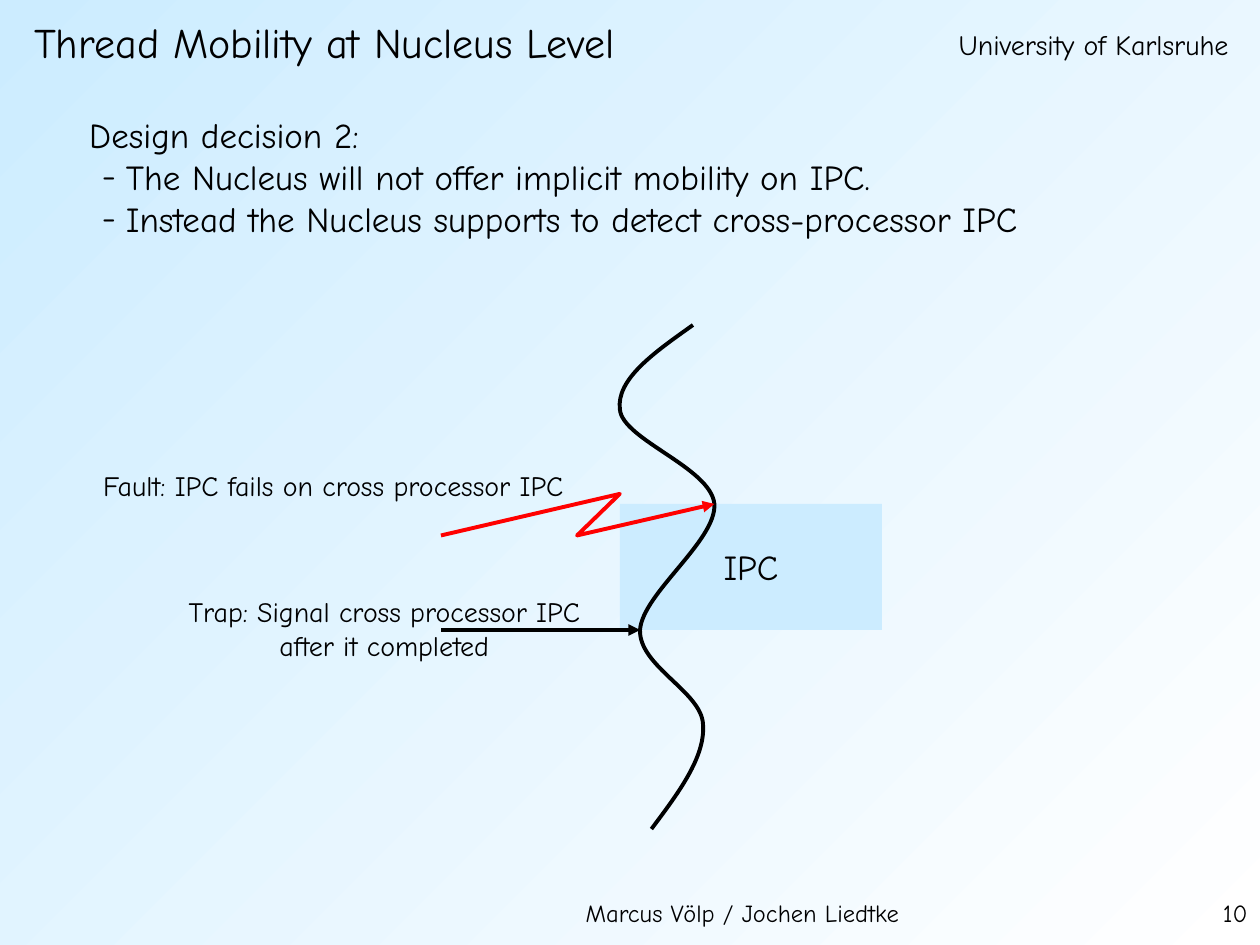
"""Build the slide on thread mobility at nucleus level."""
from dataclasses import dataclass

from lxml.etree import SubElement
from pptx import Presentation
from pptx.dml.color import RGBColor
from pptx.enum.shapes import MSO_CONNECTOR as Connector, MSO_SHAPE as Shape
from pptx.enum.text import MSO_ANCHOR as Anchor, MSO_AUTO_SIZE as AutoSize, PP_ALIGN as Align
from pptx.oxml.ns import qn
from pptx.util import Inches, Pt

BLACK = RGBColor(0x00, 0x00, 0x00)
WHITE = RGBColor(0xFF, 0xFF, 0xFF)
RED = RGBColor(0xFF, 0x00, 0x00)
SKY = RGBColor(0xCC, 0xEC, 0xFF)
FONT = "Comic Neue"
STROKE = Pt(2.25)

Point = tuple[float, float]


@dataclass(frozen=True)
class Label:
    left: float
    top: float
    width: float
    height: float
    size: int
    lines: tuple[str, ...]
    align: Align = Align.LEFT
    dashed_from: int | None = None


LABELS = (
    Label(4.55, 7.08, 2.77, 0.34, 14, ("Marcus Völp / Jochen Liedtke",)),
    Label(7.51, 0.17, 2.35, 0.37, 16, ("University of Karlsruhe",)),
    Label(0.61, 0.85, 7.61, 1.1, 20, (
        "Design decision 2:",
        "The Nucleus will not offer implicit mobility on IPC.",
        "Instead the Nucleus supports to detect cross-processor IPC",
    ), dashed_from=1),
    Label(1.39, 4.67, 3.32, 0.64, 16,
          ("Trap: Signal cross processor IPC", "after it completed"), Align.CENTER),
    Label(0.72, 3.67, 3.95, 0.37, 16, ("Fault: IPC fails on cross processor IPC",)),
    Label(9.33, 7.08, 0.67, 0.42, 14, ("10",), Align.RIGHT),
)

THREAD = (
    (5.5, 2.58),
    (5.19, 2.8), (4.89, 3.01), (4.92, 3.25),
    (4.94, 3.49), (5.64, 3.71), (5.67, 4),
    (5.69, 4.29), (5.1, 4.71), (5.08, 5),
    (5.07, 5.29), (5.57, 5.49), (5.58, 5.75),
    (5.6, 6.01), (5.38, 6.3), (5.17, 6.58),
)
FAULT = ((3.5, 4.25), (4.92, 3.92), (4.58, 4.25), (5.67, 4))


def write(para, text: str, size: int, align: Align = Align.LEFT) -> None:
    """Add one formatted run to a paragraph."""
    para.alignment = align
    span = para.add_run()
    span.text = text
    span.font.name = FONT
    span.font.size = Pt(size)
    span.font.color.rgb = BLACK


def add_dash(para) -> None:
    """Give a paragraph a hanging dash bullet."""
    props = para._p.get_or_add_pPr()
    props.set("marL", str(Inches(0.29)))
    props.set("indent", str(Inches(-0.19)))
    SubElement(props, qn("a:buFont"), typeface=FONT)
    SubElement(props, qn("a:buChar"), char="-")


def add_label(page, label: Label) -> None:
    """Draw a text box with one paragraph per line."""
    box = page.shapes.add_textbox(Inches(label.left), Inches(label.top),
                                  Inches(label.width), Inches(label.height))
    frame = box.text_frame
    frame.word_wrap = False
    for index, line in enumerate(label.lines):
        para = frame.add_paragraph() if index else frame.paragraphs[0]
        if label.dashed_from is not None and index >= label.dashed_from:
            add_dash(para)
        write(para, line, label.size, label.align)


def add_title(page, text: str) -> None:
    """Place and fill the title placeholder."""
    title = page.shapes.title
    title.left, title.top = Inches(0.17), Inches(0.08)
    title.width, title.height = Inches(6.25), Inches(0.5)
    frame = title.text_frame
    frame.auto_size = AutoSize.NONE
    frame.vertical_anchor = Anchor.MIDDLE
    write(frame.paragraphs[0], text, 24)


def add_ipc_block(page) -> None:
    """Draw the rectangle that stands for the IPC."""
    block = page.shapes.add_shape(Shape.RECTANGLE, Inches(4.92), Inches(4), Inches(2.08), Inches(1))
    block.shadow.inherit = False
    block.fill.solid()
    block.fill.fore_color.rgb = SKY
    block.line.fill.background()
    frame = block.text_frame
    frame.word_wrap = False
    frame.vertical_anchor = Anchor.MIDDLE
    write(frame.paragraphs[0], "IPC", 20, Align.CENTER)


def style_line(line, color: RGBColor, arrow: bool) -> None:
    """Set the stroke and an optional arrowhead at its end."""
    line.color.rgb = color
    line.width = STROKE
    if arrow:
        SubElement(line._get_or_add_ln(), qn("a:tailEnd"), type="triangle")


def add_path(page, points: tuple[Point, ...], color: RGBColor, arrow: bool = False):
    """Draw an open outline through the points."""
    start, *rest = [(Inches(x), Inches(y)) for x, y in points]
    builder = page.shapes.build_freeform(*start)
    builder.add_line_segments(rest, close=False)
    outline = builder.convert_to_shape()
    outline.shadow.inherit = False
    outline.fill.background()
    style_line(outline.line, color, arrow)
    return outline


def bend(outline) -> None:
    """Turn each three line segments into one cubic curve."""
    track = next(outline._element.iter(qn("a:path")))
    segments = track.findall(qn("a:lnTo"))
    for first in range(0, len(segments), 3):
        curve = SubElement(track, qn("a:cubicBezTo"))
        for segment in segments[first:first + 3]:
            curve.append(segment[0])
            track.remove(segment)


def add_arrow(page, start: Point, end: Point) -> None:
    """Draw a straight black arrow."""
    arrow = page.shapes.add_connector(Connector.STRAIGHT, *map(Inches, start + end))
    SubElement(arrow._element.spPr, qn("a:effectLst"))
    style_line(arrow.line, BLACK, True)


def paint_background(page) -> None:
    """Fill the page with a diagonal gradient."""
    fill = page.background.fill
    fill.gradient()
    fill.gradient_angle = 135
    for stop, color in zip(fill.gradient_stops, (WHITE, SKY)):
        stop.color.rgb = color


def main() -> None:
    """Build and save the deck."""
    deck = Presentation()
    deck.slide_width, deck.slide_height = Inches(10), Inches(7.5)
    page = deck.slides.add_slide(deck.slide_layouts[5])
    paint_background(page)
    add_title(page, "Thread Mobility at Nucleus Level")
    add_ipc_block(page)
    bend(add_path(page, THREAD, BLACK))
    add_arrow(page, (3.5, 5), (5.08, 5))
    add_path(page, FAULT, RED, arrow=True)
    for label in LABELS:
        add_label(page, label)
    deck.save("out.pptx")


if __name__ == "__main__":
    main()
